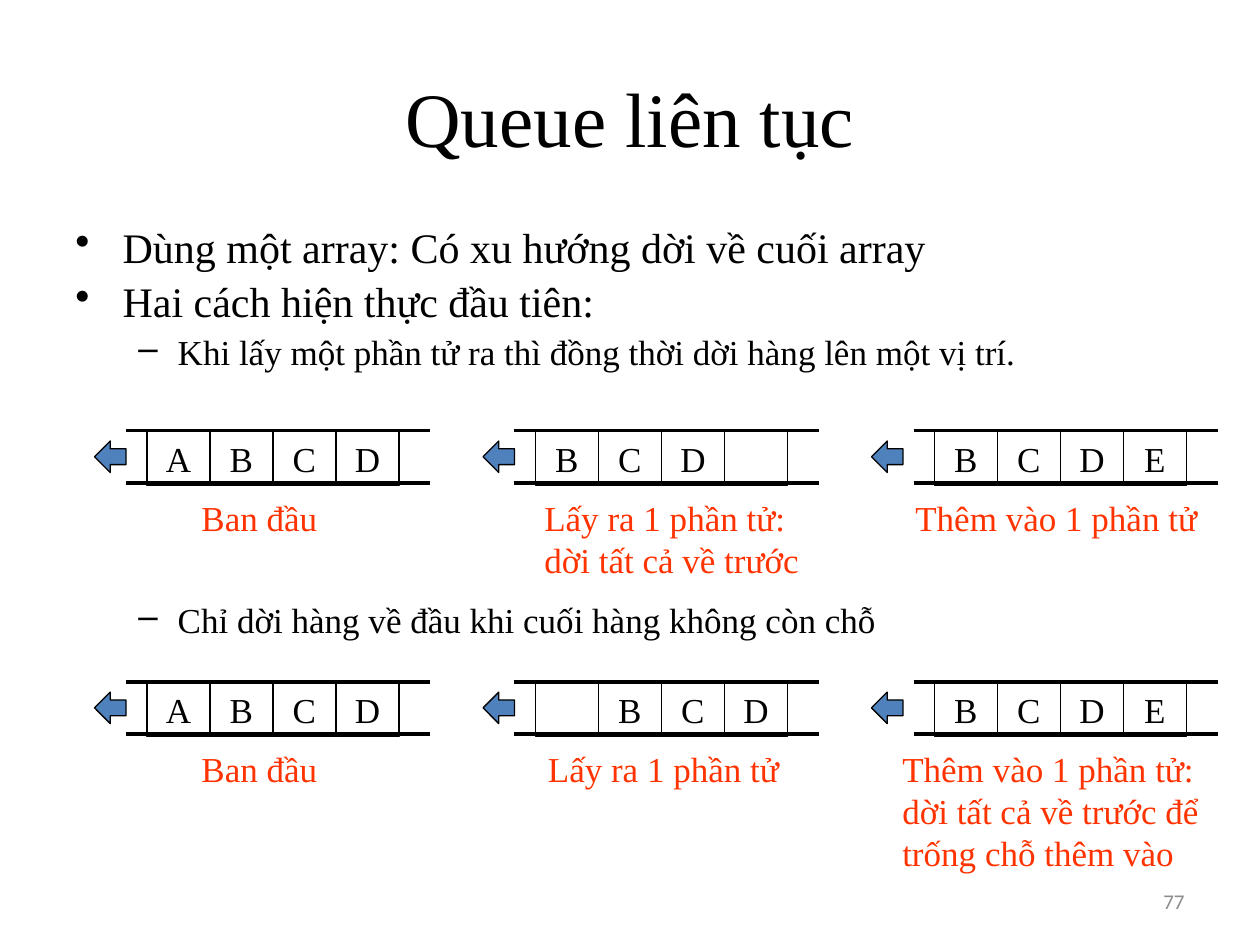
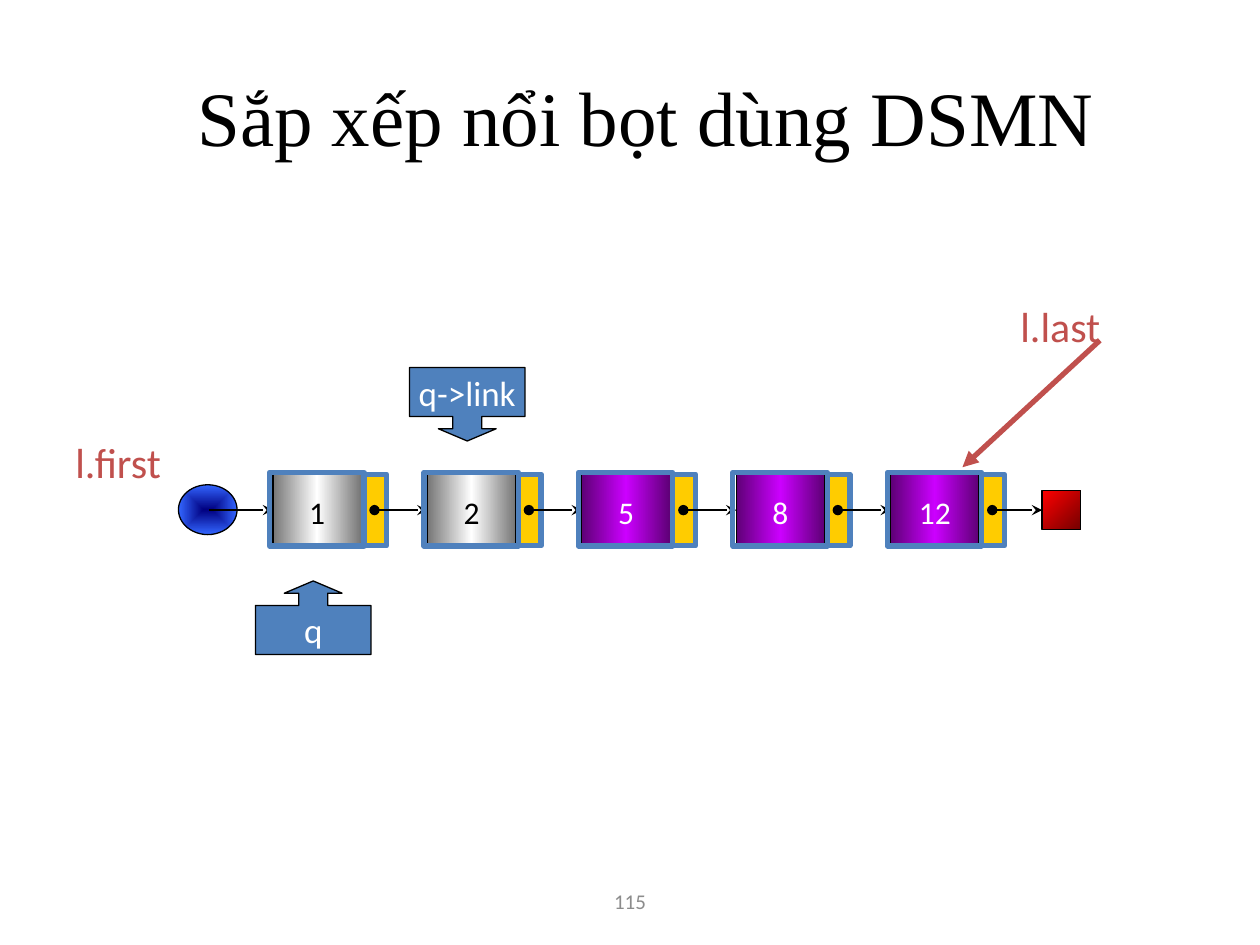
from dataclasses import dataclass

from lxml import etree
from pptx import Presentation
from pptx.dml.color import RGBColor
from pptx.enum.shapes import MSO_CONNECTOR, MSO_SHAPE
from pptx.enum.text import MSO_ANCHOR, PP_ALIGN
from pptx.oxml.ns import qn
from pptx.util import Pt

RECTANGLE = MSO_SHAPE.RECTANGLE
OVAL = MSO_SHAPE.OVAL
LEFT_ARROW = MSO_SHAPE.LEFT_ARROW
CALLOUT = MSO_SHAPE.UP_ARROW_CALLOUT
STRAIGHT = MSO_CONNECTOR.STRAIGHT
MIDDLE = MSO_ANCHOR.MIDDLE
TOP = MSO_ANCHOR.TOP
LEFT, CENTER, RIGHT = PP_ALIGN.LEFT, PP_ALIGN.CENTER, PP_ALIGN.RIGHT
LEFT_SIDE = 1


@dataclass(frozen=True)
class Theme:
    serif: str = "Times New Roman"
    sans: str = "Calibri"
    black: str = "000000"
    white: str = "FFFFFF"
    gray: str = "8C8C8C"
    blue: str = "4F81BD"
    red: str = "C0504D"
    caption: str = "FF3300"
    yellow: str = "FFCC00"
    silver: tuple = ("767676", "FFFFFF", "767676")
    purple: tuple = ("5E0076", "CC00FF", "5E0076")
    ball: tuple = ("000080", "3366FF")
    stop: tuple = ("FF0000", "760000")
    title_size: float = 44
    large: float = 24
    medium: float = 20
    value_size: float = 18
    footer_size: float = 12
    thin: float = 0.75
    pointer: float = 1.25
    rail: float = 2.25
    thick: float = 3


class DeckBuilder:
    def __init__(self, theme):
        self.theme = theme
        self.deck = Presentation()
        self.deck.slide_width = Pt(720)
        self.deck.slide_height = Pt(540)
        self.page = None

    def new_page(self, title, *place):
        self.page = self.deck.slides.add_slide(self.deck.slide_layouts[5])
        box = self.page.shapes.title
        box.left, box.top, box.width, box.height = map(Pt, place)
        self.set_text(box, [title], self.theme.title_size, self.theme.black,
                      align=CENTER, anchor=MIDDLE)

    def set_text(self, box, lines, size, color, font=None, align=LEFT, anchor=TOP, wrap=True):
        frame = box.text_frame
        frame.word_wrap = wrap
        frame.vertical_anchor = anchor
        frame.text = "\n".join(lines)
        for para in frame.paragraphs:
            para.alignment = align
            self.style(para, size, color, font)

    def style(self, para, size, color, font=None):
        para.font.name = font or self.theme.serif
        para.font.size = Pt(size)
        para.font.color.rgb = RGBColor.from_string(color)

    def text(self, lines, left, top, width, height, size, color, **options):
        box = self.page.shapes.add_textbox(Pt(left), Pt(top), Pt(width), Pt(height))
        self.set_text(box, lines, size, color, **options)

    def bullets(self, items, left, top, width, height):
        box = self.page.shapes.add_textbox(Pt(left), Pt(top), Pt(width), Pt(height))
        frame = box.text_frame
        frame.word_wrap = True
        for number, (level, space, words) in enumerate(items):
            para = frame.add_paragraph() if number else frame.paragraphs[0]
            para.text = words
            para.level = level
            para.line_spacing = 0.9
            para.space_before = Pt(space)
            self.style(para, (self.theme.large, self.theme.medium)[level], self.theme.black)
            margin, hang, mark = ((27, 27, "•"), (58.5, 22.5, "–"))[level]
            properties = para._p.get_or_add_pPr()
            properties.set("marL", str(Pt(margin)))
            properties.set("indent", str(-Pt(hang)))
            bullet = properties.makeelement(qn("a:buChar"), {"char": mark})
            properties.insert_element_before(bullet, "a:tabLst", "a:defRPr", "a:extLst")

    def shape(self, kind, left, top, width, height, fill=None, line=None,
              weight=None, angle=0, holder=None):
        shapes = (holder or self.page).shapes
        shape = shapes.add_shape(kind, Pt(left), Pt(top), Pt(width), Pt(height))
        shape.shadow.inherit = False
        if fill is None:
            shape.fill.background()
        elif isinstance(fill, tuple):
            self.gradient(shape, fill, angle)
        else:
            shape.fill.solid()
            shape.fill.fore_color.rgb = RGBColor.from_string(fill)
        shape.line.color.rgb = RGBColor.from_string(line or self.theme.black)
        shape.line.width = Pt(weight or self.theme.thin)
        return shape

    def gradient(self, shape, colors, angle):
        shape.fill.gradient()
        gradient = shape._element.spPr.find(qn("a:gradFill"))
        for child in list(gradient):
            gradient.remove(child)
        stops = etree.SubElement(gradient, qn("a:gsLst"))
        for number, color in enumerate(colors):
            position = 100000 * number // (len(colors) - 1)
            stop = etree.SubElement(stops, qn("a:gs"), pos=str(position))
            etree.SubElement(stop, qn("a:srgbClr"), val=color)
        if angle is None:
            center = etree.SubElement(gradient, qn("a:path"))
            center.set("path", "shape")
            sides = dict.fromkeys("ltrb", "50000")
            etree.SubElement(center, qn("a:fillToRect"), **sides)
        else:
            etree.SubElement(gradient, qn("a:lin"), ang=str(angle * 60000), scaled="0")

    def line(self, start, end, color, weight, head=None, tail=None, target=None, holder=None):
        shapes = (holder or self.page).shapes
        line = shapes.add_connector(STRAIGHT, *map(Pt, start + end))
        if target is not None:
            line.end_connect(target, LEFT_SIDE)
        line.line.color.rgb = RGBColor.from_string(color)
        line.line.width = Pt(weight)
        outline = line.line._get_or_add_ln()
        for tag, kind in (("a:headEnd", head), ("a:tailEnd", tail)):
            if kind:
                etree.SubElement(outline, qn(tag), type=kind)
        etree.SubElement(line._element.spPr, qn("a:effectLst"))

    def page_number(self, number, left, width, align):
        self.text([number], left, 500.5, width, 28.75, self.theme.footer_size, self.theme.gray,
                  font=self.theme.sans, align=align, anchor=MIDDLE)

    def queue(self, letters, left, top):
        group = self.page.shapes.add_group_shape()
        for y in (top, top + 30):
            self.line((left, y), (left + 174, y), self.theme.black, self.theme.rail, holder=group)
        for number, letter in enumerate(letters):
            cell = self.shape(RECTANGLE, left + 12 + 36 * number, top, 36, 31.5, holder=group)
            if letter.strip():
                self.set_text(cell, [letter], self.theme.medium, self.theme.black,
                              align=CENTER, anchor=MIDDLE)

    def callout(self, words, left, top, turn=0):
        box = self.shape(CALLOUT, left, top, 66, 42, self.theme.blue)
        for number, value in enumerate((0.393, 0.393, 0.167, 0.667)):
            box.adjustments[number] = value
        self.set_text(box, [words], self.theme.medium, self.theme.white, font=self.theme.sans,
                      align=CENTER, anchor=MIDDLE, wrap=False)
        if turn:
            box.rotation = turn
            box.text_frame._txBody.bodyPr.set("rot", str(turn * 60000))


def build_queue_page(builder):
    theme = builder.theme
    builder.new_page("Queue liên tục", 36, 21.5, 648, 90)
    builder.bullets([
        (0, 5.5, "Dùng một array: Có xu hướng dời về cuối array"),
        (0, 5.5, "Hai cách hiện thực đầu tiên:"),
        (1, 4.5, "Khi lấy một phần tử ra thì đồng thời dời hàng lên một vị trí."),
        (1, 132, "Chỉ dời hàng về đầu khi cuối hàng không còn chỗ"),
    ], 36, 126, 648, 356)
    rows = [
        (246, [
            ("ABCD", 108, 81.5, ["Ban đầu"]),
            ("BCD ", 304, 161, ["Lấy ra 1 phần tử:", "dời tất cả về trước"]),
            ("BCDE", 516, 177, ["Thêm vào 1 phần tử"]),
        ]),
        (389.5, [
            ("ABCD", 108, 81.5, ["Ban đầu"]),
            (" BCD", 306, 147.5, ["Lấy ra 1 phần tử"]),
            ("BCDE", 508.5, 190, ["Thêm vào 1 phần tử:", "dời tất cả về trước để",
                                  "trống chỗ thêm vào"]),
        ]),
    ]
    for top, states in rows:
        for column, (letters, left, width, caption) in enumerate(states):
            builder.queue(letters, (72, 294, 522)[column], top)
            builder.shape(LEFT_ARROW, 54 + 222 * column, top + 6, 18, 18, theme.blue)
            height = 7.5 + 24 * len(caption)
            builder.text(caption, left, top + 34.25, width, height, theme.medium, theme.caption,
                         wrap=False)
    builder.page_number("77", 516, 168, RIGHT)


def build_sort_page(builder):
    theme = builder.theme
    builder.new_page("Sắp xếp nổi bọt dùng DSMN", 18, 12, 702, 108)
    axis = 291.5
    lefts = [154 + 88.25 * number for number in range(5)]
    for left in lefts:
        builder.shape(RECTANGLE, left + 53, 271, 14, 41, theme.yellow, theme.blue, theme.thick)
    builder.shape(OVAL, 102, 277, 33.5, 28.5, theme.ball, angle=None)
    end_mark = builder.shape(RECTANGLE, 595.5, 280.5, 22, 22, theme.stop, angle=45)

    values = []
    for left, value in zip(lefts, ("1", "2", "5", "8", "12")):
        pending = value in ("1", "2")
        box = builder.shape(RECTANGLE, left + 2, 271, 50.5, 41,
                            theme.silver if pending else theme.purple)
        builder.set_text(box, [value], theme.value_size, theme.black if pending else theme.white,
                         font=theme.sans, align=CENTER, anchor=MIDDLE)
        frame = box.text_frame
        frame.margin_left = frame.margin_right = frame.margin_bottom = 0
        frame.margin_top = Pt(2)
        values.append(box)

    starts = [119.5] + [left + 60 for left in lefts]
    for number, (start, target) in enumerate(zip(starts, values + [end_mark])):
        builder.line((start, axis), (start + 31, axis), theme.black, theme.pointer,
                     head="oval" if number else None, tail="stealth", target=target)

    builder.callout("q", 146, 332)
    builder.callout("q->link", 234, 210, turn=180)
    for words, left, top in (("l.first", 36, 246), ("l.last", 576, 168)):
        builder.text([words], left, top, 102, 36, theme.large, theme.red, font=theme.sans)
    builder.line((628.5, 194.5), (550, 267), theme.red, theme.thick, tail="triangle")
    for left in lefts:
        builder.shape(RECTANGLE, left, 270, 54, 42, line=theme.blue, weight=theme.thick)
    builder.page_number("115", 246, 228, CENTER)


def main():
    builder = DeckBuilder(Theme())
    build_queue_page(builder)
    build_sort_page(builder)
    builder.deck.save("out.pptx")


if __name__ == "__main__":
    main()
